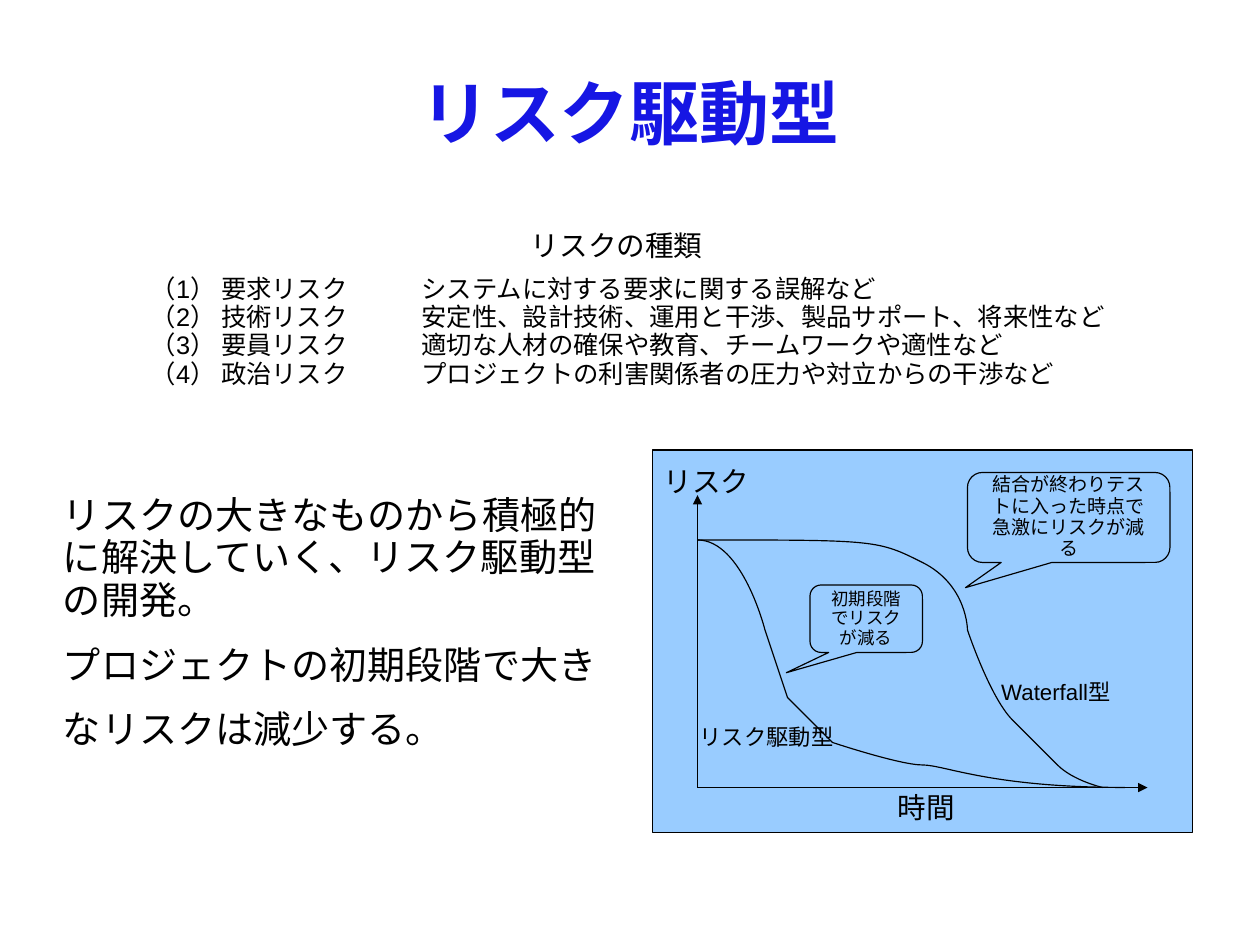
import pptx
import pptx.util
import pptx.dml.color
import pptx.enum.shapes
import pptx.enum.text
import pptx.oxml
import pptx.oxml.ns

Cm, Pt = pptx.util.Cm, pptx.util.Pt
RGBColor = pptx.dml.color.RGBColor
MSO_SHAPE = pptx.enum.shapes.MSO_SHAPE
PP_ALIGN = pptx.enum.text.PP_ALIGN
MSO_ANCHOR = pptx.enum.text.MSO_ANCHOR
qn = pptx.oxml.ns.qn

BLACK = RGBColor(0x00, 0x00, 0x00)
TITLE_BLUE = RGBColor(0x16, 0x16, 0xE4)
PANEL_BLUE = RGBColor(0x99, 0xCC, 0xFF)
FONT = "Arial"
SPACING = 0.93

RISKS = [
    ("要求リスク", "システムに対する要求に関する誤解など"),
    ("技術リスク", "安定性、設計技術、運用と干渉、製品サポート、将来性など"),
    ("要員リスク", "適切な人材の確保や教育、チームワークや適性など"),
    ("政治リスク", "プロジェクトの利害関係者の圧力や対立からの干渉など"),
]
# Curves in cm inside the chart panel: a start, then three points per Bezier segment
CURVE_START = (1, 2)
RISK_DRIVEN = [
    (2, 2), (2.5, 4), (2.5, 4),
    (2.5, 4), (3, 5.5), (3, 5.5),
    (3, 5.5), (4, 6.5), (4, 6.5),
    (4, 6.5), (5.5, 7), (6, 7),
    (6.5, 7), (7.5, 7.5), (10.5, 7.5),
]
WATERFALL = [
    (5, 2), (5, 2), (6, 2.5),
    (7, 3), (7, 4), (7, 4),
    (7, 4), (7.5, 5.5), (8, 6),
    (8.5, 6.5), (8.5, 6.5), (9, 7),
    (9.35, 7.35), (10, 7.5), (10, 7.5),
]


def append_xml(parent, tag, **attrs):
    el = pptx.oxml.parse_xml(f"<a:{tag} {pptx.oxml.ns.nsdecls('a')}/>")
    for name, value in attrs.items():
        el.set(name, str(value))
    parent.append(el)
    return el


def write(tf, lines, size, color=BLACK, bold=False, align=PP_ALIGN.LEFT):
    tf.text = "\n".join(lines)
    for p in tf.paragraphs:
        p.alignment = align
        p.line_spacing = SPACING
        for r in p.runs:
            r.font.name = FONT
            r.font.size = Pt(size)
            r.font.bold = bold
            r.font.color.rgb = color


def clear_margins(tf):
    tf.margin_left = tf.margin_right = tf.margin_top = tf.margin_bottom = 0


def add_text(slide, box, lines, size):
    tf = slide.shapes.add_textbox(*map(Cm, box)).text_frame
    tf.word_wrap = True
    write(tf, lines, size)
    return tf


def style_line(line):
    line.color.rgb = BLACK
    line.width = Pt(0.75)


def add_panel(slide, kind, box):
    sp = slide.shapes.add_shape(kind, *map(Cm, box))
    sp.shadow.inherit = False
    sp.fill.solid()
    sp.fill.fore_color.rgb = PANEL_BLUE
    style_line(sp.line)
    return sp


def add_callout(slide, box, pointer, text, size):
    sp = add_panel(slide, MSO_SHAPE.ROUNDED_RECTANGULAR_CALLOUT, box)
    sp.adjustments[0], sp.adjustments[1] = pointer
    tf = sp.text_frame
    tf.word_wrap = True
    tf.vertical_anchor = MSO_ANCHOR.MIDDLE
    write(tf, [text], size, align=PP_ALIGN.CENTER)


def add_arrow(slide, x1, y1, x2, y2):
    c = slide.shapes.add_connector(
        pptx.enum.shapes.MSO_CONNECTOR.STRAIGHT, Cm(x1), Cm(y1), Cm(x2), Cm(y2))
    style_line(c.line)
    spPr = c._element.spPr
    append_xml(spPr.find(qn("a:ln")), "tailEnd", type="triangle")
    append_xml(spPr, "effectLst")


def add_curve(slide, x, y, points):
    """Draw a freeform, then turn each three line points into one Bezier segment."""
    def place(q):
        return Cm(x + q[0]), Cm(y + q[1])

    builder = slide.shapes.build_freeform(*place(CURVE_START))
    builder.add_line_segments([place(q) for q in points], close=False)
    sp = builder.convert_to_shape()
    sp.shadow.inherit = False
    sp.fill.background()
    style_line(sp.line)

    outline = next(sp._element.iter(qn("a:path")))
    steps = outline.findall(qn("a:lnTo"))
    for i in range(0, len(steps), 3):
        bezier = append_xml(outline, "cubicBezTo")
        for step in steps[i:i + 3]:
            bezier.append(step[0])
            outline.remove(step)


def add_title(slide, box):
    sp = slide.shapes.title
    sp.left, sp.top, sp.width, sp.height = map(Cm, box)
    tf = sp.text_frame
    clear_margins(tf)
    tf.vertical_anchor = MSO_ANCHOR.MIDDLE
    write(tf, ["リスク駆動型"], 44, TITLE_BLUE, True, PP_ALIGN.CENTER)


def add_risk_list(slide, box):
    x, y, w, h = box
    add_text(slide, (x + 8.45, y, 4.6, 0.9), ["リスクの種類"], 18)
    lines = [f"（{n}） {name}\t{detail}" for n, (name, detail) in enumerate(RISKS, 1)]
    tf = add_text(slide, (x, y + 1, w, h - 1), lines, 16)
    for p in tf.paragraphs:
        tabs = append_xml(p._p.get_or_add_pPr(), "tabLst")
        append_xml(tabs, "tab", pos=int(Cm(6.02)), algn="l")


def add_summary(slide, box):
    tf = add_text(slide, box, [
        "リスクの大きなものから積極的に解決していく、リスク駆動型の開発。",
        "プロジェクトの初期段階で大きなリスクは減少する。",
    ], 24)
    clear_margins(tf)
    tf.vertical_anchor = MSO_ANCHOR.MIDDLE
    tf.paragraphs[1].line_spacing = 1.4


def add_risk_chart(slide, box):
    x, y = box[:2]
    add_panel(slide, MSO_SHAPE.RECTANGLE, box)
    add_arrow(slide, x + 1, y + 7.5, x + 1, y + 1)
    add_arrow(slide, x + 1, y + 7.5, x + 11, y + 7.5)
    for points in (RISK_DRIVEN, WATERFALL):
        add_curve(slide, x, y, points)
    for text, dx, dy, w, h, size in [
        ("リスク駆動型", 0.8, 6, 3.8, 0.76, 14),
        ("Waterfall型", 7.5, 5, 3.6, 0.8, 14),
        ("リスク", 0, 0.26, 2.6, 0.9, 18),
        ("時間", 5.2, 7.5, 2.2, 0.9, 18),
    ]:
        add_text(slide, (x + dx, y + dy, w, h), [text], size)
    add_callout(slide, (x + 7, y + 0.5, 4.5, 2), (-0.51, 0.78),
                "結合が終わりテストに入った時点で急激にリスクが減る", 12)
    add_callout(slide, (x + 3.5, y + 3, 2.5, 1.5), (-0.71, 0.8),
                "初期段階でリスクが減る", 11)


def main():
    prs = pptx.Presentation()
    prs.slide_width, prs.slide_height = Cm(28), Cm(21)
    slide = prs.slides.add_slide(prs.slide_layouts[5])
    add_title(slide, (1.4, 0.84, 25.2, 3.5))
    add_summary(slide, (1.4, 9.8, 12.6, 8.1))
    add_risk_list(slide, (3.1, 5, 22.22, 4.1))
    add_risk_chart(slide, (14.5, 10, 12, 8.5))
    prs.save("out.pptx")


if __name__ == "__main__":
    main()
